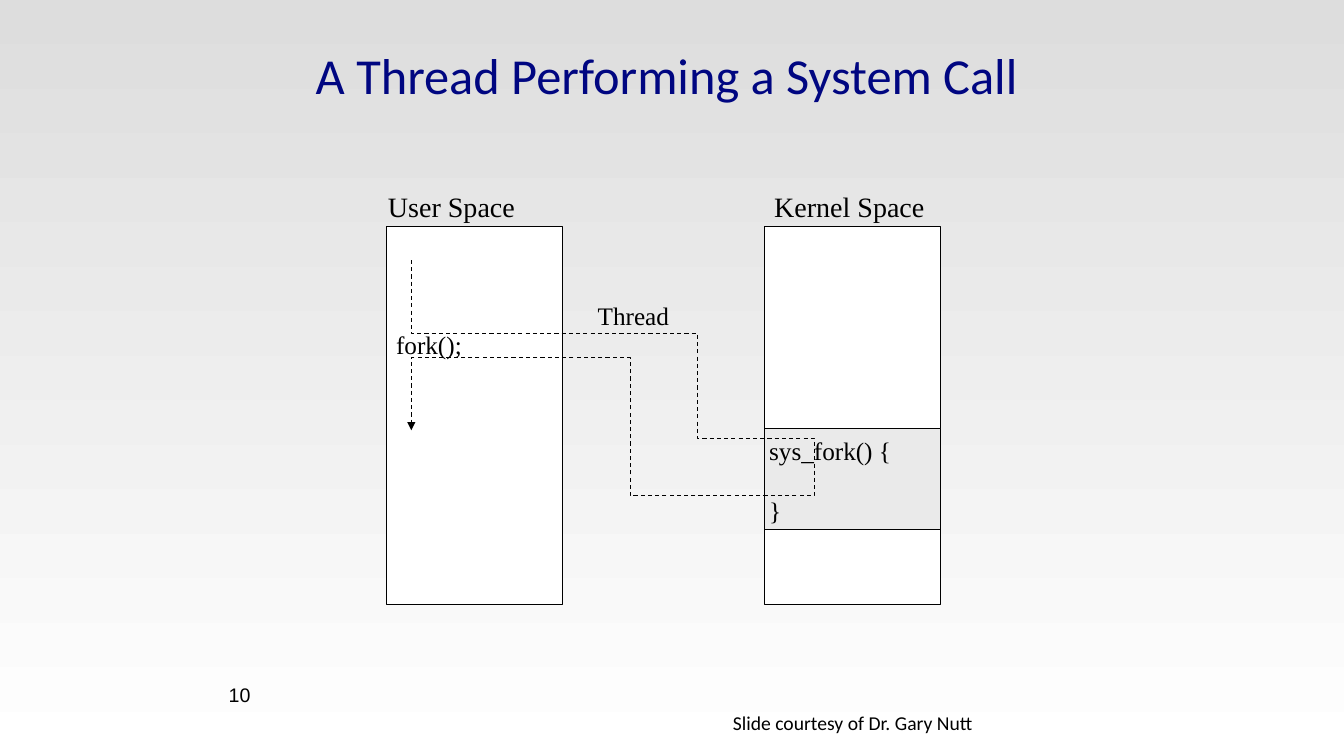
from dataclasses import dataclass

from lxml.etree import SubElement
from pptx import Presentation
from pptx.dml.color import RGBColor
from pptx.enum.dml import MSO_LINE_DASH_STYLE as Dash
from pptx.enum.shapes import MSO_SHAPE as Preset
from pptx.enum.text import MSO_ANCHOR as Anchor, PP_ALIGN as Align
from pptx.oxml.ns import qn
from pptx.slide import Slide
from pptx.text.text import Font
from pptx.util import Inches, Pt

BLACK = "000000"
SERIF = "Times New Roman"
SANS = "Calibri"


@dataclass
class Label:
    lines: list[str]
    left: float
    top: float
    width: float
    height: float
    size: int = 18
    font_name: str = SERIF
    wrap: bool = False
    line_gap: float = 0


@dataclass
class MemoryBlock:
    left: float
    top: float
    height: float
    fill: str = "FFFFFF"


BLOCK_WIDTH = 1.75
USER_LEFT, KERNEL_LEFT = 3.83, 7.58
BLOCKS = [
    MemoryBlock(USER_LEFT, 2.25, 3.75),
    MemoryBlock(KERNEL_LEFT, 2.25, 3.75),
    MemoryBlock(KERNEL_LEFT, 4.25, 1, "EAEAEA"),
]
LABELS = [
    Label(["10"], 2.17, 6.73, 2.33, 0.52, 14, "Arial", True),
    Label(["Slide courtesy of Dr. Gary Nutt"], 7.17, 7, 3, 0.34, 14, SANS, True),
    Label(["User Space"], 3.75, 1.83, 1.46, 0.43, 20),
    Label(["Kernel Space"], 7.58, 1.83, 1.69, 0.43, 20),
    Label(["fork();"], 3.83, 3.22, 0.85, 0.4),
    Label(["sys_fork() {", "}"], 7.53, 4.27, 1.41, 1, line_gap=21),
    Label(["Thread"], 5.83, 2.93, 0.91, 0.4),
]
THREAD_ROUTE = [
    (4.08, 2.58), (4.08, 3.31), (6.92, 3.31), (6.92, 4.35), (8.08, 4.35),
    (8.08, 4.92), (6.25, 4.92), (6.25, 3.55), (4.08, 3.55), (4.08, 4.27),
]


def color(value: str) -> RGBColor:
    return RGBColor.from_string(value)


def format_font(font: Font, name: str, size: int, value: str) -> None:
    font.name = name
    font.size = Pt(size)
    font.color.rgb = color(value)


def paint_background(slide: Slide) -> None:
    fill = slide.background.fill
    fill.gradient()
    fill.gradient_angle = 270
    for stop, position, value in zip(fill.gradient_stops, (0, 1), ("DDDDDD", "FFFFFF")):
        stop.position = position
        stop.color.rgb = color(value)


def add_title(slide: Slide, text: str) -> None:
    title = slide.shapes.title
    title.left, title.top = Inches(2.17), Inches(0.3)
    title.width, title.height = Inches(9), Inches(0.87)
    title.text_frame.vertical_anchor = Anchor.MIDDLE
    paragraph = title.text_frame.paragraphs[0]
    paragraph.alignment = Align.CENTER
    run = paragraph.add_run()
    run.text = text
    format_font(run.font, SANS, 36, "000681")


def add_block(slide: Slide, block: MemoryBlock) -> None:
    shape = slide.shapes.add_shape(
        Preset.RECTANGLE, Inches(block.left), Inches(block.top),
        Inches(BLOCK_WIDTH), Inches(block.height))
    shape.shadow.inherit = False
    shape.fill.solid()
    shape.fill.fore_color.rgb = color(block.fill)
    shape.line.color.rgb = color(BLACK)
    shape.line.width = Pt(0.75)


def add_label(slide: Slide, label: Label) -> None:
    box = slide.shapes.add_textbox(
        Inches(label.left), Inches(label.top), Inches(label.width), Inches(label.height))
    frame = box.text_frame
    frame.word_wrap = label.wrap
    for index, line in enumerate(label.lines):
        paragraph = frame.add_paragraph() if index else frame.paragraphs[0]
        if index:
            paragraph.space_before = Pt(label.line_gap)
        run = paragraph.add_run()
        run.text = line
        format_font(run.font, label.font_name, label.size, BLACK)


def add_thread(slide: Slide, route: list[tuple[float, float]]) -> None:
    points = [(Inches(x), Inches(y)) for x, y in route]
    builder = slide.shapes.build_freeform(*points[0])
    builder.add_line_segments(points[1:], close=False)
    thread = builder.convert_to_shape()
    thread.shadow.inherit = False
    thread.fill.background()
    thread.line.color.rgb = color(BLACK)
    thread.line.width = Pt(0.75)
    thread.line.dash_style = Dash.DASH
    line = thread.line._get_or_add_ln()
    SubElement(line, qn("a:tailEnd"), type="triangle")


def main() -> None:
    presentation = Presentation()
    presentation.slide_width = Inches(13.33)
    presentation.slide_height = Inches(7.5)
    slide = presentation.slides.add_slide(presentation.slide_layouts[5])
    paint_background(slide)
    add_title(slide, "A Thread Performing a System Call ")
    for block in BLOCKS:
        add_block(slide, block)
    for label in LABELS:
        add_label(slide, label)
    add_thread(slide, THREAD_ROUTE)
    presentation.save("out.pptx")


if __name__ == "__main__":
    main()
